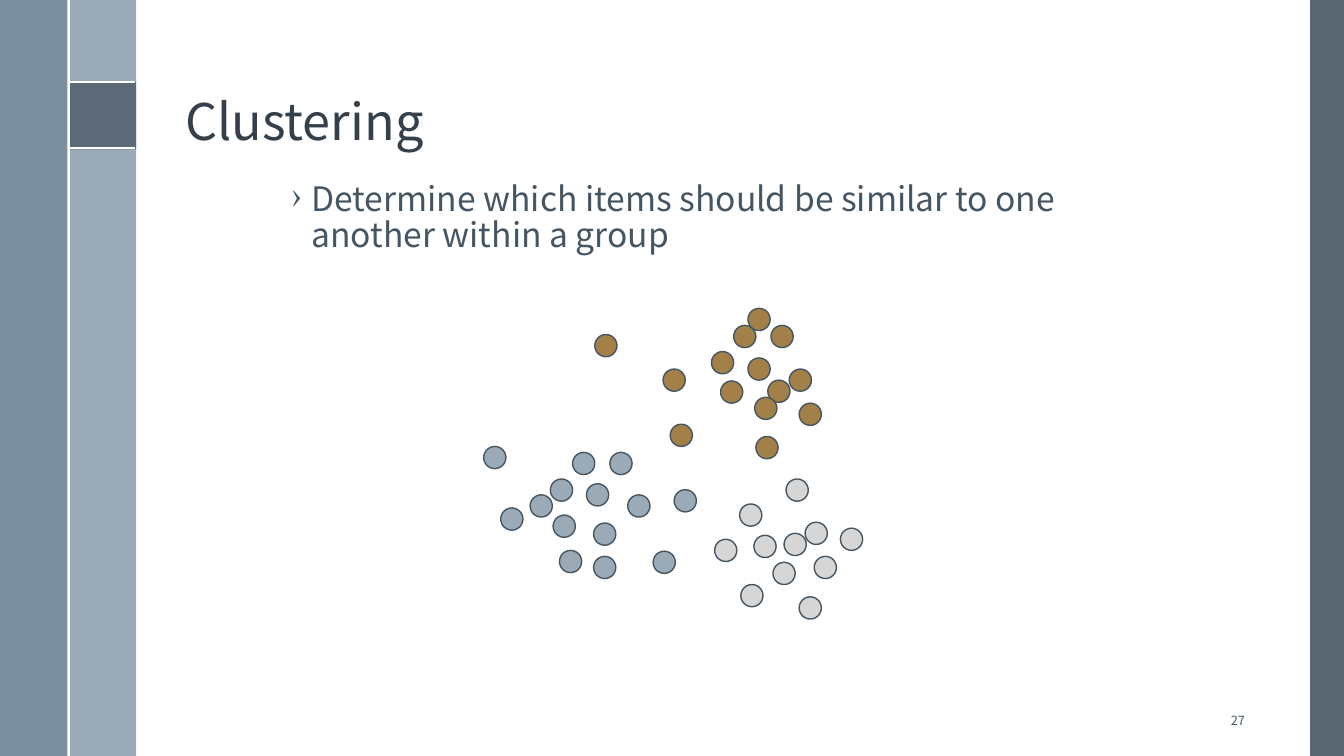
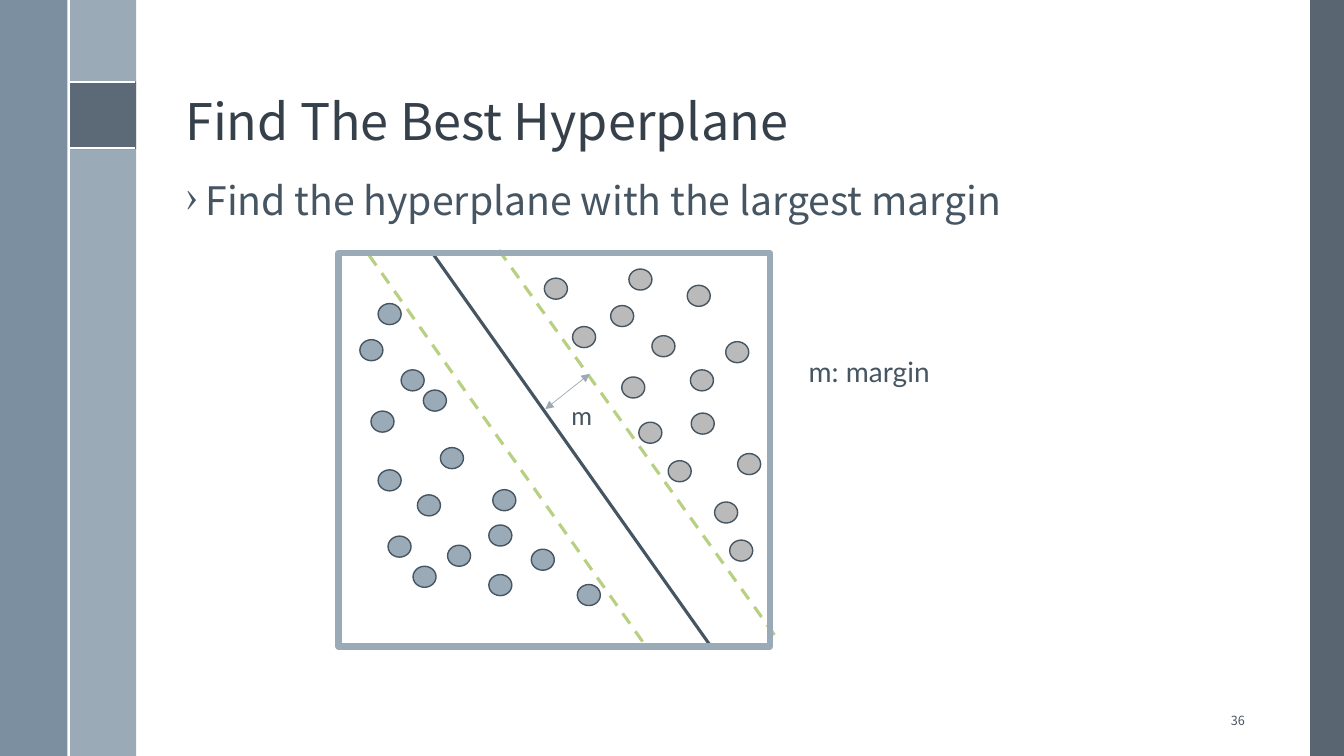
from dataclasses import dataclass
from typing import Optional

from lxml.etree import SubElement
from pptx import Presentation
from pptx.dml.color import RGBColor
from pptx.enum.dml import MSO_LINE_DASH_STYLE as Dash
from pptx.enum.shapes import MSO_CONNECTOR as Conn, MSO_SHAPE as Shp
from pptx.enum.text import MSO_ANCHOR as Anchor, PP_ALIGN as Align
from pptx.oxml.ns import qn
from pptx.util import Cm, Pt

SLIDE_W, SLIDE_H = 33.87, 19.05
SLATE, PALE, STEEL, INK = "475562", "9BAAB7", "6A8093", "465562"
TITLE_INK, WHITE, GREEN = "35404A", "FFFFFF", "B8D082"
BROWN, LIGHT_GREY, MID_GREY = "A28048", "D6D6D6", "BABABA"
HEAD_FONT, LABEL_FONT = "Noto Sans CJK TC", "Lato"


@dataclass(frozen=True)
class Box:
    """Place and size in centimetres."""
    x: float
    y: float
    w: float
    h: float

    def lengths(self) -> tuple:
        return Cm(self.x), Cm(self.y), Cm(self.w), Cm(self.h)


@dataclass(frozen=True)
class Line:
    """Straight line from (x1, y1) to (x2, y2) in centimetres."""
    x1: float
    y1: float
    x2: float
    y2: float
    color: str
    width: float
    dash: Optional[Dash] = None
    arrows: bool = False


@dataclass(frozen=True)
class Band:
    box: Box
    color: str
    alpha: int = 100


@dataclass(frozen=True)
class Cluster:
    """Dots of one colour and size, given by their top left corners."""
    color: str
    w: float
    h: float
    points: tuple


BANDS = (
    Band(Box(33.02, 0, 0.85, SLIDE_H), SLATE, 90),
    Band(Box(1.73, 0, 1.7, SLIDE_H), PALE),
    Band(Box(0, 0, 1.7, SLIDE_H), STEEL, 88),
    Band(Box(1.73, 2.06, 1.7, 1.7), SLATE, 75),
)
BAND_RULES = (
    Line(1.73, 2.06, 3.4, 2.06, WHITE, 1.5),
    Line(1.73, 3.73, 3.4, 3.73, WHITE, 1.5),
    Line(1.73, 0, 1.73, SLIDE_H, WHITE, 1.5),
)

GROUPS = (
    Cluster(PALE, 0.56, 0.56, (
        (14.43, 11.4), (13.87, 12.07), (14.78, 12.19), (15.37, 11.4), (13.94, 12.98),
        (14.96, 13.18), (15.82, 12.47), (14.1, 13.87), (12.19, 11.25), (12.62, 12.8),
        (13.36, 12.47), (14.96, 14.02), (16.99, 12.34), (16.46, 13.89))),
    Cluster(BROWN, 0.56, 0.56, (
        (18.49, 8.2), (17.93, 8.86), (18.85, 9.02), (19.43, 8.2), (19.35, 9.58),
        (19.02, 10.01), (19.89, 9.3), (20.14, 10.16), (14.99, 8.43), (18.16, 9.6),
        (16.89, 10.69), (16.71, 9.3), (19.05, 11), (18.85, 7.77))),
    Cluster(LIGHT_GREY, 0.56, 0.56, (
        (19.81, 12.07), (19.76, 13.44), (20.29, 13.16), (20.52, 14.02), (18.64, 12.7),
        (19, 13.49), (19.48, 14.17), (20.14, 15.04), (18.67, 14.73), (18.01, 13.59),
        (21.18, 13.31))),
)

CLASSES = (
    Cluster(PALE, 0.58, 0.53, (
        (10.11, 9.32), (10.67, 9.83), (9.53, 11.84), (10.52, 12.47), (13.39, 13.84),
        (11.28, 13.74), (9.78, 13.51), (11.1, 11.28), (12.42, 12.34), (14.55, 14.73),
        (12.32, 14.48), (9.35, 10.36), (10.41, 14.27), (12.32, 13.23), (9.53, 7.65),
        (9.07, 8.56))),
    Cluster(MID_GREY, 0.58, 0.53, (
        (16.43, 8.46), (17.4, 9.32), (16.1, 10.64), (16.84, 11.61), (17.42, 10.41),
        (15.67, 9.5), (15.85, 6.78), (15.39, 7.7), (18.29, 8.61), (18.01, 12.65),
        (18.59, 11.43), (13.72, 7.01), (14.43, 8.23), (17.32, 7.19), (18.39, 13.61))),
)
HYPERPLANE_LINES = (
    Line(12.57, 6.3, 19.61, 16.13, GREEN, 2.25, Dash.DASH),
    Line(9.3, 6.43, 16.26, 16.26, GREEN, 2.25, Dash.DASH),
    Line(10.9, 6.38, 17.91, 16.28, INK, 2.25),
)
MARGIN_ARROW = Line(13.74, 10.31, 14.86, 9.42, PALE, 0.5, arrows=True)


def rgb(value: str) -> RGBColor:
    return RGBColor.from_string(value)


def add_shape(s, kind: Shp, box: Box, fill: Optional[str] = None,
              line: Optional[str] = None, width: float = 1, alpha: int = 100):
    sp = s.shapes.add_shape(kind, *box.lengths())
    sp.shadow.inherit = False
    if fill:
        sp.fill.solid()
        sp.fill.fore_color.rgb = rgb(fill)
        if alpha < 100:
            color = sp.fill._xPr.find(qn("a:solidFill"))[0]
            SubElement(color, qn("a:alpha"), val=str(alpha * 1000))
    else:
        sp.fill.background()
    if line:
        sp.line.color.rgb = rgb(line)
        sp.line.width = Pt(width)
    else:
        sp.line.fill.background()
    return sp


def add_line(s, line: Line) -> None:
    cx = s.shapes.add_connector(Conn.STRAIGHT, Cm(line.x1), Cm(line.y1),
                                Cm(line.x2), Cm(line.y2))
    cx.line.color.rgb = rgb(line.color)
    cx.line.width = Pt(line.width)
    if line.dash:
        cx.line.dash_style = line.dash
    if line.arrows:
        for end in ("a:headEnd", "a:tailEnd"):
            SubElement(cx.line._get_or_add_ln(), qn(end), type="triangle")
    SubElement(cx._element.spPr, qn("a:effectLst"))


def add_text(s, box: Box, text: str, size: float, font: str = HEAD_FONT,
             color: str = INK, anchor: Anchor = Anchor.TOP, bullet: str = "",
             **paragraph_format):
    """Add one paragraph; extra keywords are set on the paragraph."""
    tf = s.shapes.add_textbox(*box.lengths()).text_frame
    tf.word_wrap = True
    tf.vertical_anchor = anchor
    p = tf.paragraphs[0]
    for name, value in paragraph_format.items():
        setattr(p, name, value)
    if bullet:
        pPr = p._p.get_or_add_pPr()
        indent = Cm(0.51)
        pPr.set("marL", str(indent))
        pPr.set("indent", str(-indent))
        SubElement(pPr, qn("a:buChar"), char=bullet)
    r = p.add_run()
    r.text = text
    for name, value in {"name": font, "size": Pt(size)}.items():
        setattr(r.font, name, value)
    r.font.color.rgb = rgb(color)


def add_clusters(s, clusters: tuple) -> None:
    for c in clusters:
        for x, y in c.points:
            add_shape(s, Shp.OVAL, Box(x, y, c.w, c.h), c.color, INK)


def add_base_slide(prs, title: str, number: int):
    """Add a slide with the side bands, title and page number."""
    s = prs.slides.add_slide(prs.slide_layouts[6])
    for band in BANDS:
        add_shape(s, Shp.RECTANGLE, band.box, band.color, alpha=band.alpha)
    for rule in BAND_RULES:
        add_line(s, rule)
    add_text(s, Box(4.42, 0.48, 27.18, 3.45), title, 36, color=TITLE_INK,
             anchor=Anchor.BOTTOM, line_spacing=0.9)
    add_text(s, Box(29.92, 17.65, 1.7, 1.02), str(number), 9,
             anchor=Anchor.MIDDLE, alignment=Align.RIGHT)
    return s


def add_bullet(s, box: Box, text: str, size: float) -> None:
    add_text(s, box, text, size, bullet="›", line_spacing=0.9)


def add_clustering_slide(prs) -> None:
    s = add_base_slide(prs, "Clustering", 27)
    add_bullet(s, Box(7.09, 4.47, 21.95, 2.51),
               "Determine which items should be similar to one another within a group", 24)
    add_clusters(s, GROUPS)


def add_hyperplane_slide(prs) -> None:
    s = add_base_slide(prs, "Find The Best Hyperplane", 36)
    add_bullet(s, Box(4.42, 4.45, 27.18, 12.7),
               "Find the hyperplane with the largest margin", 28)
    for line in HYPERPLANE_LINES:
        add_line(s, line)
    add_shape(s, Shp.RECTANGLE, Box(8.53, 6.38, 10.87, 9.91), line=PALE, width=4.5)
    add_clusters(s, CLASSES)
    add_line(s, MARGIN_ARROW)
    add_text(s, Box(14.15, 9.96, 1.2, 1.02), "m", 18, LABEL_FONT)
    add_text(s, Box(20.13, 8.81, 6.25, 1.12), "m: margin", 20, LABEL_FONT)


def main() -> None:
    prs = Presentation()
    prs.slide_width, prs.slide_height = Cm(SLIDE_W), Cm(SLIDE_H)
    add_clustering_slide(prs)
    add_hyperplane_slide(prs)
    prs.save("out.pptx")


if __name__ == "__main__":
    main()
